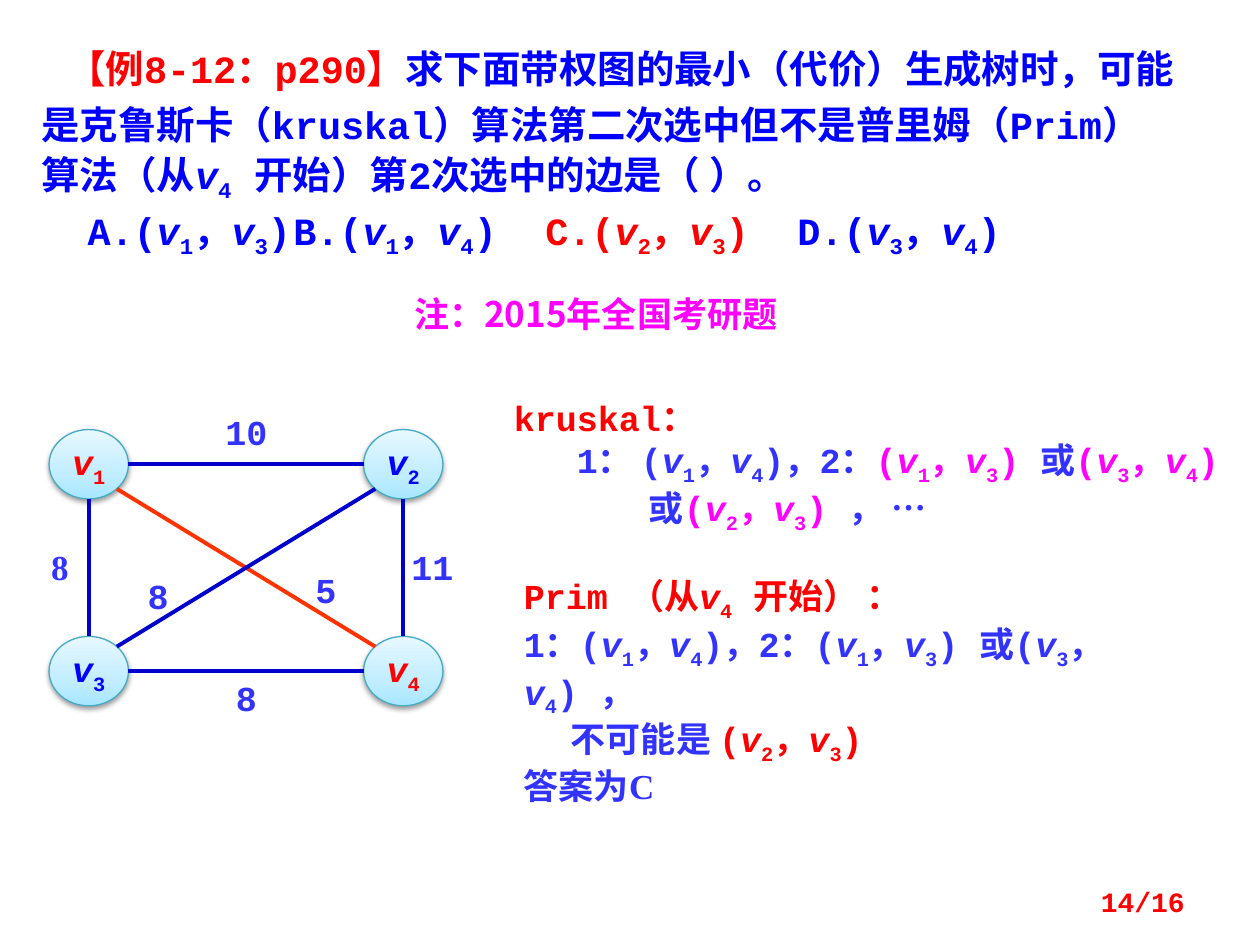
from copy import deepcopy
from math import sqrt

from lxml.etree import SubElement as Sub
from pptx import Presentation
from pptx.dml.color import RGBColor as RGB
from pptx.enum.shapes import MSO_CONNECTOR as Link, MSO_SHAPE as Form
from pptx.enum.text import MSO_ANCHOR as Anchor, MSO_AUTO_SIZE as Auto, PP_ALIGN as Align
from pptx.oxml.ns import qn
from pptx.util import Cm, Pt

RED = RGB(0xFF, 0x00, 0x00)
BLUE = RGB(0x00, 0x00, 0xFF)
INDIGO = RGB(0x33, 0x33, 0xFF)
PINK = RGB(0xFF, 0x00, 0xFF)
NAVY = RGB(0x00, 0x00, 0xCC)
ORANGE = RGB(0xFF, 0x33, 0x00)
RIM = RGB(0x46, 0xAA, 0xC5)
GLOW = [(0, RGB(0xA7, 0xE6, 0xFF)), (0.35, RGB(0xC1, 0xED, 0xFF)),
        (1, RGB(0xE7, 0xF8, 0xFF))]
MONO, SERIF, SANS = "Courier New", "Times New Roman", "Noto Sans CJK SC"

# Graph layout in cm
WIDE, HIGH = 1.6, 1.4
NODES = {"v1": (1.79, 9.36, RED), "v2": (8.13, 9.36, BLUE),
         "v3": (1.79, 13.53, BLUE), "v4": (8.13, 13.53, RED)}
EDGES = [("v1", "v2", NAVY), ("v1", "v3", NAVY), ("v3", "v4", NAVY),
         ("v2", "v4", NAVY), ("v1", "v4", ORANGE), ("v3", "v2", NAVY)]
COSTS = [("10", 4.17, 8.28, MONO), ("8", 4.17, 13.64, MONO),
         ("11", 7.92, 11, MONO), ("8", 0.41, 11, SERIF),
         ("5", 5.77, 11.46, MONO), ("8", 2.39, 11.58, MONO)]

# Texts: each paragraph is (indent in cm, [(colour, words), ...])
TASK = [
    (0.52, [(RED, "【例8-12：p290】"),
            (BLUE, "求下面带权图的最小（代价）生成树时，可能是克鲁斯卡（kruskal）算法"
                   "第二次选中但不是普里姆（Prim）算法（从v4 开始）第2次选中的边是（ ）。")]),
    (0.93, [(BLUE, "A.(v1，v3)\tB.(v1，v4)\t"), (RED, "C.(v2，v3)\t"),
            (BLUE, "D.(v3，v4)")])]
KRUSKAL = [
    (0, [(RED, "kruskal：")]),
    (1.27, [(INDIGO, "1： (v1，v4)，2："), (PINK, "(v1，v3) "), (INDIGO, "或"),
            (PINK, "(v3，v4)")]),
    (2.72, [(INDIGO, "或"), (PINK, "(v2，v3) "), (INDIGO, "， …")])]
PRIM = [
    (0, [(RED, "Prim （从v4 开始） ：")]),
    (0, [(INDIGO, "1：(v1，v4)，2：(v1，v3) 或(v3，v4) ，")]),
    (0.95, [(INDIGO, "不可能是"), (RED, " (v2，v3)")])]


class Board:
    def __init__(self, slide, size=20):
        self.slide = slide
        self.size = size

    def piece(self, para, words, color, face, size, slant=False, low=False):
        run = para.add_run()
        run.text = words
        font = run.font
        font.size, font.bold, font.italic = Pt(size), True, slant
        font.color.rgb = color
        font.name = face
        props = font._element
        Sub(props, qn("a:ea"), typeface=SANS)
        if low:
            props.set("baseline", "-25000")

    def fill(self, frame, paras, face=MONO, size=None, align=Align.LEFT, lead=None, tabs=()):
        size = size or self.size
        for num, (indent, parts) in enumerate(paras):
            para = frame.paragraphs[0] if num == 0 else frame.add_paragraph()
            para.alignment = align
            if lead:
                para.line_spacing = Pt(lead)
            props = para._p.get_or_add_pPr()
            if indent:
                props.set("indent", str(Cm(indent)))
            if "\t" in "".join(words for _, words in parts):
                stops = Sub(props, qn("a:tabLst"))
                for stop in tabs:
                    Sub(stops, qn("a:tab"), pos=str(Cm(stop)), algn="l")
            for color, words in parts:
                # "v1" becomes a slanted v and a lowered digit
                first, *rest = words.split("v")
                if first:
                    self.piece(para, first, color, face, size)
                for tail in rest:
                    self.piece(para, "v", color, face, size, slant=True)
                    self.piece(para, tail[0], color, face, size, low=True)
                    if tail[1:]:
                        self.piece(para, tail[1:], color, face, size)

    def title(self, left, top, wide, high, paras, **look):
        box = self.slide.shapes.title
        box.left, box.top, box.width, box.height = map(Cm, (left, top, wide, high))
        frame = box.text_frame
        frame.vertical_anchor = Anchor.TOP
        frame.auto_size = Auto.SHAPE_TO_FIT_TEXT
        self.fill(frame, paras, **look)

    def text(self, left, top, wide, high, paras, inset=None, grow=True, **look):
        box = self.slide.shapes.add_textbox(*map(Cm, (left, top, wide, high)))
        frame = box.text_frame
        frame.word_wrap = True
        if grow:
            frame.auto_size = Auto.SHAPE_TO_FIT_TEXT
        else:
            frame.vertical_anchor = Anchor.MIDDLE
        if inset is not None:
            frame.margin_left = frame.margin_right = Cm(inset)
            frame.margin_top = frame.margin_bottom = Cm(inset)
        self.fill(frame, paras, **look)

    def node(self, name, x, y, color):
        oval = self.slide.shapes.add_shape(
            Form.OVAL, *map(Cm, (x - WIDE / 2, y - HIGH / 2, WIDE, HIGH)))
        oval.line.color.rgb, oval.line.width = RIM, Pt(0.75)
        # Three-stop fill, dark at the bottom
        paint = oval.fill
        paint.gradient()
        paint.gradient_angle = 90
        stops = oval._element.spPr.find(".//" + qn("a:gsLst"))
        stops.append(deepcopy(stops[0]))
        for stop, (spot, shade) in zip(paint.gradient_stops, GLOW):
            stop.position, stop.color.rgb = spot, shade
        # Soft shadow straight below
        oval.shadow.inherit = False
        effects = oval._element.spPr.find(qn("a:effectLst"))
        drop = Sub(effects, qn("a:outerShdw"), blurRad=str(Pt(3.1)),
                   dist=str(Pt(1.6)), dir="5400000", rotWithShape="0")
        black = Sub(drop, qn("a:srgbClr"), val="000000")
        Sub(black, qn("a:alpha"), val="38000")
        frame = oval.text_frame
        frame.word_wrap = False
        frame.vertical_anchor = Anchor.MIDDLE
        self.fill(frame, [(0, [(color, name)])], align=Align.CENTER)

    def edge(self, start, end, color):
        (x1, y1, _), (x2, y2, _) = NODES[start], NODES[end]
        # Rim points lie on the axes or at 45 degrees
        dx, dy = (x2 > x1) - (x2 < x1), (y2 > y1) - (y2 < y1)
        norm = sqrt(dx * dx + dy * dy)
        a, b = dx * WIDE / 2 / norm, dy * HIGH / 2 / norm
        line = self.slide.shapes.add_connector(
            Link.STRAIGHT, *map(Cm, (x1 + a, y1 + b, x2 - a, y2 - b)))
        line.line.color.rgb, line.line.width = color, Pt(2.25)
        Sub(line._element.spPr, qn("a:effectLst"))


def main():
    deck = Presentation()
    deck.slide_width, deck.slide_height = Cm(25.4), Cm(19.05)
    board = Board(deck.slides.add_slide(deck.slide_layouts[5]))

    # Question
    board.title(0.58, 0.58, 23.42, 4.83, TASK, size=22, lead=32, tabs=(7.26, 13.61, 20.4))

    # Weighted graph
    for name, (x, y, color) in NODES.items():
        board.node(name, x, y, color)
    for start, end, color in EDGES:
        board.edge(start, end, color)
    for cost, left, top, face in COSTS:
        board.text(left, top, 1.6, 0.86, [(0, [(INDIGO, cost)])], inset=0,
                   face=face, align=Align.CENTER)

    # Solution
    board.text(10.31, 11.46, 14.1, 2.82, PRIM)
    board.text(10.11, 7.87, 15.29, 2.82, KRUSKAL)
    board.text(7.54, 5.77, 8.94, 1.12, [(0, [(PINK, "注：2015年全国考研题")])],
               face=SANS, align=Align.CENTER)
    board.text(10.31, 15.29, 6.35, 1.12, [(0, [(INDIGO, "答案为C")])], face=SERIF)

    # Page number
    board.text(18.21, 17.65, 5.92, 1.02, [(0, [(RED, "14/16")])], grow=False,
               size=16, align=Align.RIGHT)

    deck.save("out.pptx")


if __name__ == "__main__":
    main()
